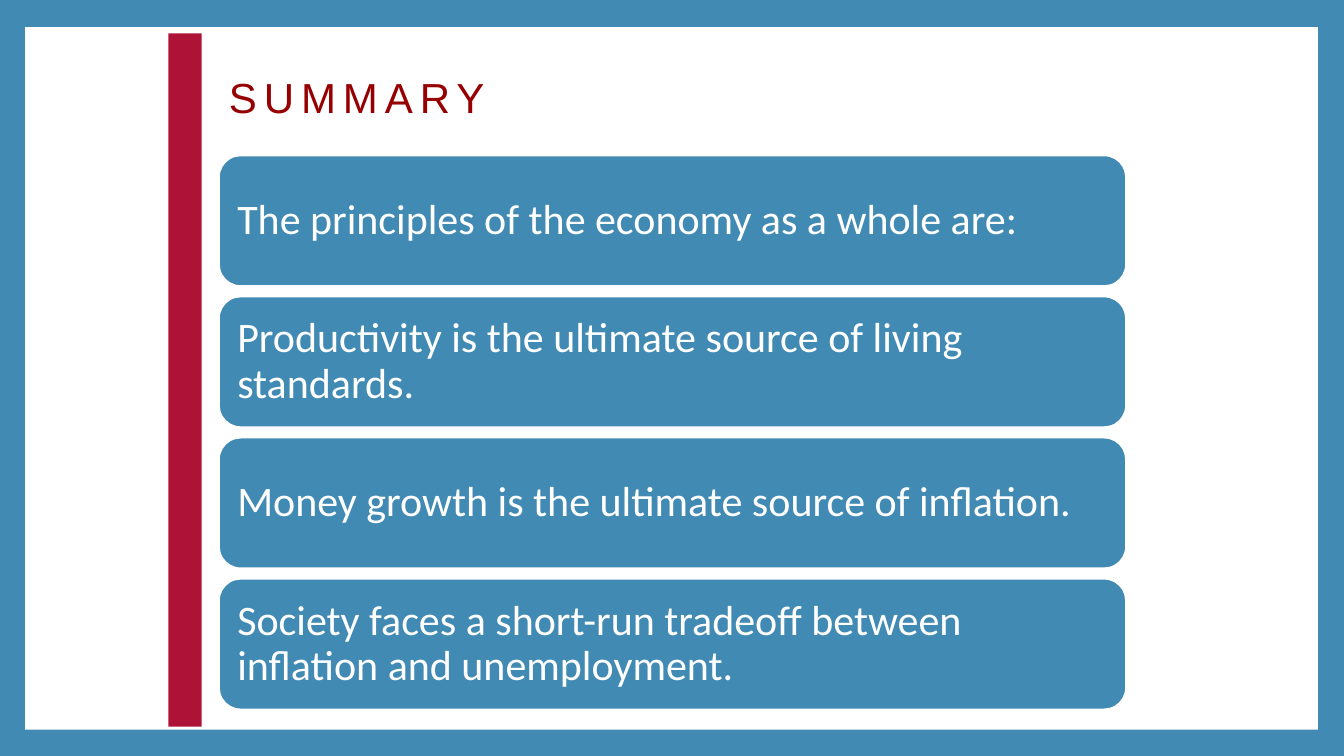
from dataclasses import dataclass

from lxml import etree
from pptx import Presentation
from pptx import util as u
from pptx.dml.color import RGBColor
from pptx.enum import shapes, text
from pptx.oxml import ns

BLUE, RED, DARK_RED, WHITE = "418AB3", "AE1237", "960000", "FFFFFF"
PRINCIPLES = [
    "The principles of the economy as a whole are:",
    "Productivity is the ultimate source of living standards.",
    "Money growth is the ultimate source of inflation.",
    "Society faces a short-run tradeoff between inflation and unemployment.",
]
CARD_TOP, CARD_HEIGHT, CARD_STEP = 1.54, 1.3, 1.4


@dataclass
class Box:
    left: float
    top: float
    width: float
    height: float
    color: str
    kind: shapes.MSO_SHAPE = shapes.MSO_SHAPE.RECTANGLE

    def lengths(self) -> list:
        return [u.Inches(v) for v in (self.left, self.top, self.width, self.height)]


def set_fill(fill, color: str) -> None:
    fill.solid()
    fill.fore_color.rgb = RGBColor.from_string(color)


def add_box(s, box: Box):
    sp = s.shapes.add_shape(box.kind, *box.lengths())
    sp.shadow.inherit = False
    set_fill(sp.fill, box.color)
    sp.line.fill.background()
    return sp


def write(sp, words: str, font: str, color: str, spacing: float, frame: dict):
    tf = sp.text_frame
    for name, value in frame.items():
        setattr(tf, name, value)
    p = tf.paragraphs[0]
    p.alignment = text.PP_ALIGN.LEFT
    p.line_spacing = spacing
    r = p.add_run()
    r.text = words
    for name, value in {"name": font, "size": u.Pt(30), "bold": False}.items():
        setattr(r.font, name, value)
    set_fill(r.font.fill, color)
    return r


def add_title(s) -> None:
    sp = s.shapes.title
    box = Box(2.17, 0.42, 9.25, 0.79, WHITE)
    for name, value in zip(("left", "top", "width", "height"), box.lengths()):
        setattr(sp, name, value)
    set_fill(sp.fill, box.color)
    color = sp.element.spPr.find(".//" + ns.qn("a:srgbClr"))
    etree.SubElement(color, ns.qn("a:alpha"), val="50000")
    r = write(sp, "SUMMARY", "Arial", DARK_RED, 1.05, {
        "word_wrap": True,
        "auto_size": text.MSO_AUTO_SIZE.NONE,
        "vertical_anchor": text.MSO_ANCHOR.BOTTOM,
        "margin_left": u.Inches(0.1),
        "margin_right": u.Inches(0.1),
        "margin_top": u.Inches(0.05),
        "margin_bottom": 0,
    })
    r.font.size = u.Pt(30)
    r.font._element.set("spc", "500")
    sp.element.getparent().append(sp.element)


def add_card(s, index: int, words: str) -> None:
    top = CARD_TOP + index * CARD_STEP
    sp = add_box(s, Box(2.17, top, 9, CARD_HEIGHT, BLUE,
                        shapes.MSO_SHAPE.ROUNDED_RECTANGLE))
    set_fill(sp.line.fill, WHITE)
    sp.line.width = u.Pt(1.5)
    frame = {f"margin_{side}": u.Inches(0.12)
             for side in ("left", "right", "top", "bottom")}
    frame |= {"word_wrap": True, "vertical_anchor": text.MSO_ANCHOR.MIDDLE}
    write(sp, words, "Calibri", WHITE, 0.9, frame)


def main() -> None:
    prs = Presentation()
    prs.slide_width, prs.slide_height = u.Inches(13.33), u.Inches(7.5)
    s = prs.slides.add_slide(prs.slide_layouts[5])
    set_fill(s.background.fill, BLUE)
    add_box(s, Box(0.25, 0.27, 12.82, 6.97, WHITE))
    add_box(s, Box(1.67, 0.33, 0.33, 6.88, RED))
    add_title(s)
    for index, words in enumerate(PRINCIPLES):
        add_card(s, index, words)
    prs.save("out.pptx")


if __name__ == "__main__":
    main()
